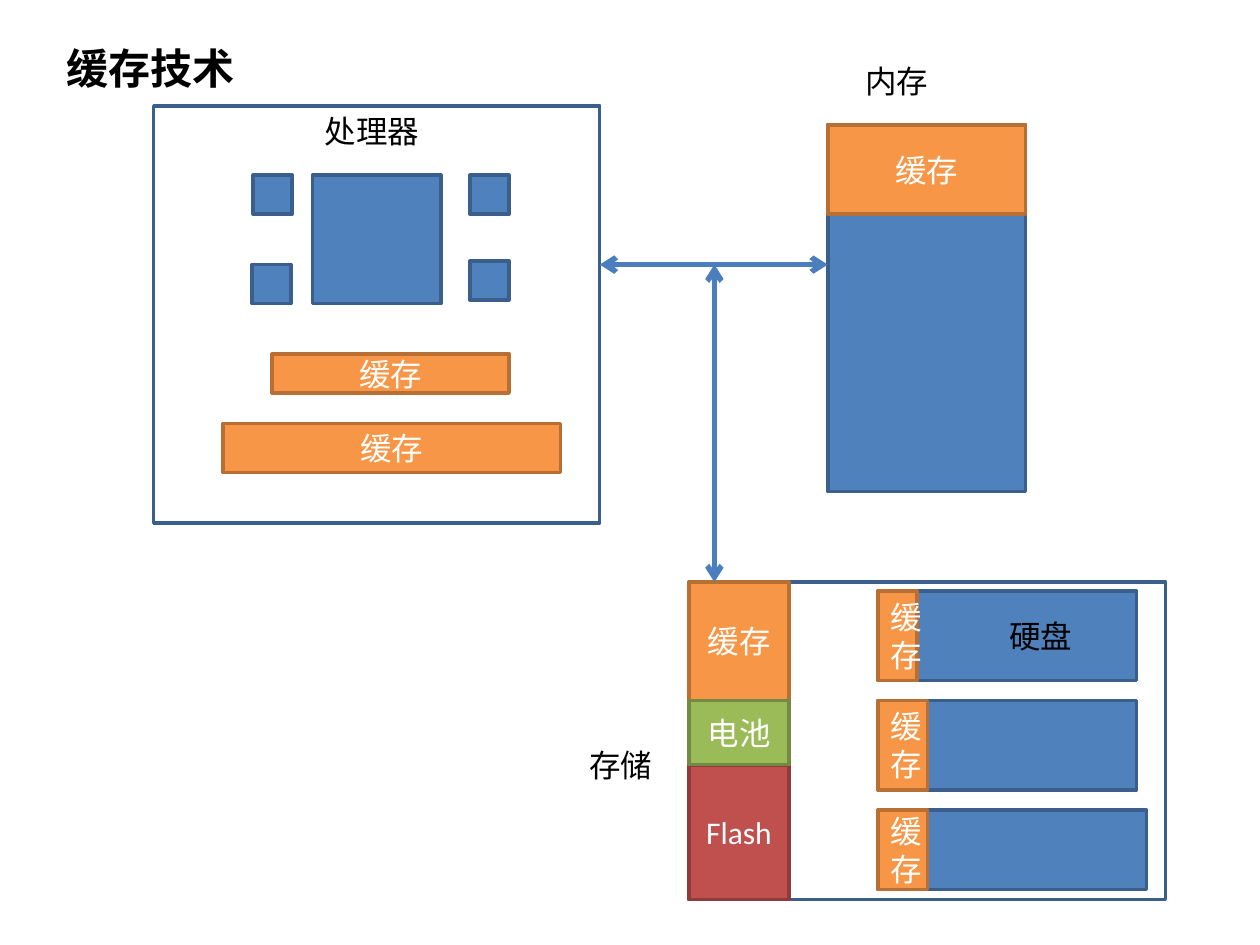
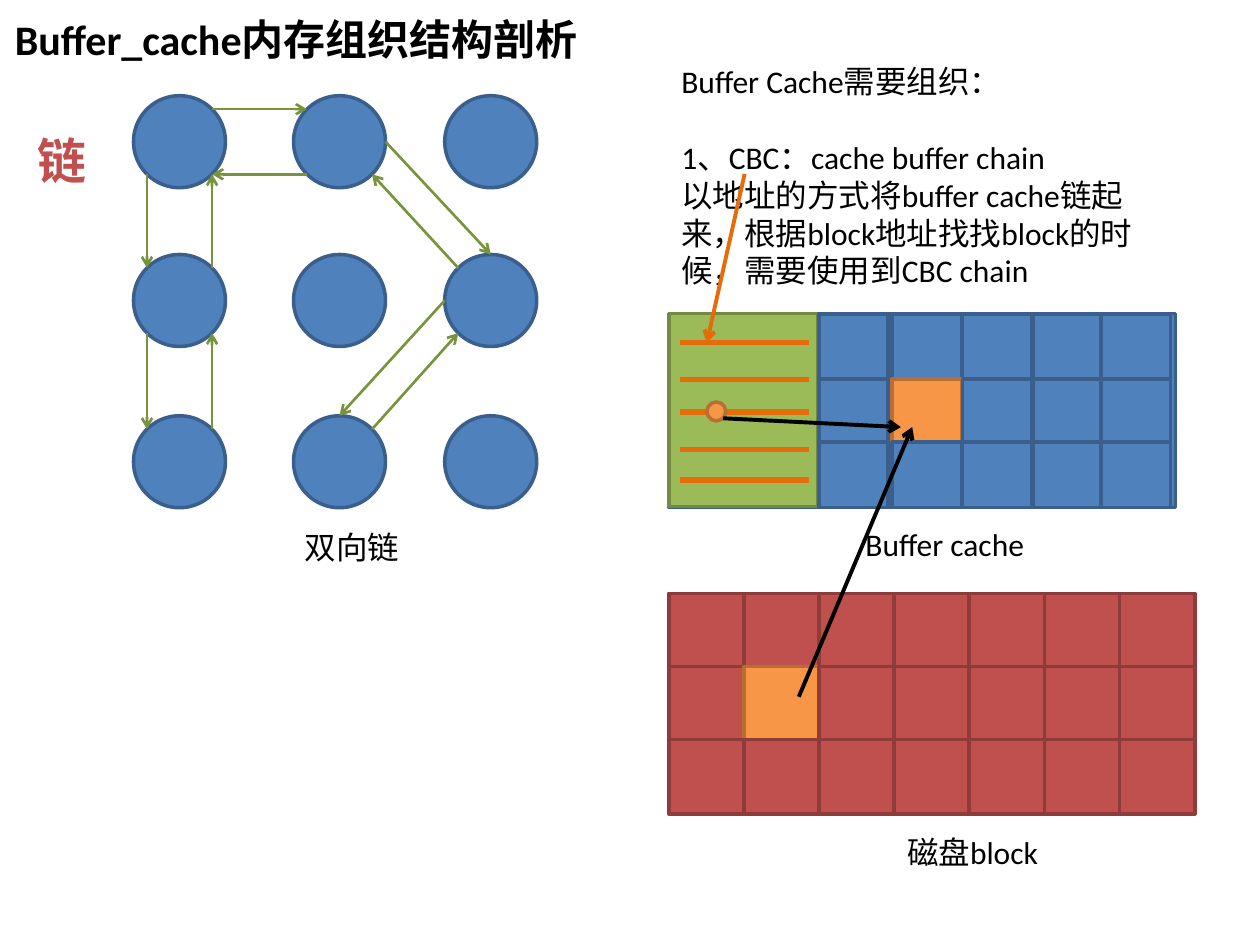
from math import sqrt
from lxml.etree import SubElement
from pptx import Presentation
from pptx.dml.color import RGBColor
from pptx.enum.shapes import MSO_CONNECTOR, MSO_SHAPE
from pptx.enum.text import MSO_ANCHOR, MSO_AUTO_SIZE, PP_ALIGN
from pptx.oxml.ns import qn
from pptx.util import Inches, Pt

FONT = "Calibri"
BLACK = RGBColor(0x00, 0x00, 0x00)
WHITE = RGBColor(0xFF, 0xFF, 0xFF)
BLUE = RGBColor(0x4F, 0x81, 0xBD)
ORANGE = RGBColor(0xF7, 0x96, 0x46)
GREEN = RGBColor(0x9B, 0xBB, 0x59)
RED = RGBColor(0xC0, 0x50, 0x4D)
BLUE_EDGE = RGBColor(0x3A, 0x5F, 0x8C)
BUS_BLUE = RGBColor(0x4B, 0x7E, 0xBC)
CHAIN_GREEN = RGBColor(0x77, 0x93, 0x3C)
DEEP_ORANGE = RGBColor(0xE4, 0x6C, 0x0A)
EDGES = {
    None: BLUE_EDGE,
    BLUE: BLUE_EDGE,
    ORANGE: RGBColor(0xB7, 0x6F, 0x34),
    GREEN: RGBColor(0x73, 0x8A, 0x42),
    RED: RGBColor(0x8E, 0x3B, 0x39),
}


class Painter:
    def __init__(self):
        self.deck = Presentation()
        self.deck.slide_width = Inches(10)
        self.deck.slide_height = Inches(7.5)
        self.page = None

    def add_page(self):
        self.page = self.deck.slides.add_slide(self.deck.slide_layouts[6])

    def add_run(self, para, text, size, color, bold=False):
        span = para.add_run()
        span.text = text
        span.font.name = FONT
        span.font.size = Pt(size)
        span.font.color.rgb = color
        span.font.bold = bold

    def shape(self, left, top, width, height, fill=BLUE, text="", kind=MSO_SHAPE.RECTANGLE):
        shape = self.page.shapes.add_shape(
            kind, Inches(left), Inches(top), Inches(width), Inches(height))
        shape.shadow.inherit = False
        if fill is None:
            shape.fill.background()
        else:
            shape.fill.solid()
            shape.fill.fore_color.rgb = fill
        shape.line.color.rgb = EDGES[fill]
        shape.line.width = Pt(2)
        if text:
            frame = shape.text_frame
            frame.word_wrap = True
            frame.vertical_anchor = MSO_ANCHOR.MIDDLE
            para = frame.paragraphs[0]
            para.alignment = PP_ALIGN.CENTER
            self.add_run(para, text, 18, WHITE)

    def circle(self, left, top, size, fill=BLUE):
        self.shape(left, top, size, size, fill, kind=MSO_SHAPE.OVAL)

    def label(self, left, top, width, height, *lines, size=18, color=BLACK, bold=False):
        box = self.page.shapes.add_textbox(
            Inches(left), Inches(top), Inches(width), Inches(height))
        frame = box.text_frame
        frame.word_wrap = True
        frame.auto_size = MSO_AUTO_SIZE.SHAPE_TO_FIT_TEXT
        for index, text in enumerate(lines):
            para = frame.add_paragraph() if index else frame.paragraphs[0]
            self.add_run(para, text, size, color, bold)
        return frame

    def title(self, left, top, width, text):
        self.label(left, top, width, 0.5, text, size=24, bold=True)

    def line(self, start, end, color, width, ends=()):
        points = [Inches(value) for value in (*start, *end)]
        connector = self.page.shapes.add_connector(MSO_CONNECTOR.STRAIGHT, *points)
        connector.line.color.rgb = color
        connector.line.width = Pt(width)
        properties = connector._element.spPr
        outline = properties.find(qn("a:ln"))
        for end_name in ends:
            SubElement(outline, qn(f"a:{end_name}")).set("type", "arrow")
        SubElement(properties, qn("a:effectLst"))

    def arrow(self, start, end, color, width=2.25):
        self.line(start, end, color, width, ("tailEnd",))

    def double_arrow(self, start, end):
        self.line(start, end, BUS_BLUE, 3, ("headEnd", "tailEnd"))


def draw_cache_overview(painter):
    painter.add_page()
    painter.shape(1.22, 0.84, 3.54, 3.31, None)
    painter.shape(2.48, 1.39, 1.02, 1.02)
    for left, top in ((2.01, 1.39), (2, 2.1), (3.73, 1.39), (3.73, 2.07)):
        painter.shape(left, top, 0.31, 0.31)
    painter.shape(2.16, 2.81, 1.88, 0.31, ORANGE, "缓存")
    painter.shape(1.77, 3.36, 2.68, 0.39, ORANGE, "缓存")

    painter.shape(6.57, 0.99, 1.57, 2.91)
    painter.shape(6.57, 0.99, 1.57, 0.71, ORANGE, "缓存")

    painter.shape(5.47, 4.62, 3.78, 2.52, None)
    disks = ((4.69, 2.05, 0.71, 0.31), (5.56, 2.05, 0.71, 0.39), (6.43, 2.13, 0.63, 0.39))
    for top, width, height, cache_width in disks:
        painter.shape(6.97, top, width, height)
        painter.shape(6.97, top, cache_width, height, ORANGE, "缓存")
    controller = ((4.62, 0.94, ORANGE, "缓存"), (6.07, 1.07, RED, "Flash"),
                  (5.56, 0.51, GREEN, "电池"))
    for top, height, fill, text in controller:
        painter.shape(5.47, top, 0.79, height, fill, text)

    painter.label(2.48, 0.84, 1.18, 0.4, "处理器")
    painter.label(6.77, 0.44, 1.18, 0.4, "内存")
    painter.label(4.58, 5.87, 0.89, 0.4, "存储")
    painter.label(7.91, 4.85, 1.18, 0.4, "硬盘")
    painter.double_arrow((4.76, 2.1), (6.57, 2.1))
    painter.double_arrow((5.67, 2.1), (5.67, 4.62))
    painter.title(0.43, 0.29, 3.23, "缓存技术")


def draw_chain(painter):
    size = 0.73
    lefts, tops = (1.06, 2.33, 3.53), (0.76, 2.02, 3.3)
    for left in lefts:
        for top in tops:
            painter.circle(left, top, size)

    diagonal = 1 / sqrt(2)
    sides = {"N": (0, -1), "S": (0, 1), "W": (-1, 0), "E": (1, 0)}
    for vertical in "NS":
        for horizontal in "WE":
            sides[vertical + horizontal] = (
                sides[horizontal][0] * diagonal, sides[vertical][1] * diagonal)

    def rim(column, row, side):
        across, down = sides[side]
        radius = size / 2
        return lefts[column] + radius * (1 + across), tops[row] + radius * (1 + down)

    links = (
        ((0, 0, "SW"), (0, 1, "NW")), ((0, 1, "NE"), (0, 0, "SE")),
        ((0, 1, "SW"), (0, 2, "NW")), ((0, 2, "NE"), (0, 1, "SE")),
        ((0, 0, "NE"), (1, 0, "NW")), ((1, 0, "SW"), (0, 0, "SE")),
        ((1, 0, "E"), (2, 1, "N")), ((2, 1, "NW"), (1, 0, "SE")),
        ((2, 1, "W"), (1, 2, "N")), ((1, 2, "NE"), (2, 1, "SW")),
    )
    for start, end in links:
        painter.arrow(rim(*start), rim(*end), CHAIN_GREEN, 1.5)
    painter.label(2.32, 4.14, 2.68, 0.4, "双向链")


def draw_cells(painter, lefts, tops, width, height, fill, marked):
    for row, top in enumerate(tops):
        for column, left in enumerate(lefts):
            cell_fill = ORANGE if (column, row) == marked else fill
            painter.shape(left, top, width, height, cell_fill)


def draw_buffer_cache(painter):
    painter.add_page()
    painter.title(0.02, 0.06, 5.67, "Buffer_cache内存组织结构剖析")
    painter.label(0.2, 0.99, 0.55, 0.57, "链", size=28, color=RED, bold=True)
    draw_chain(painter)

    notes = painter.label(
        5.31, 0.44, 3.86, 1.92,
        "Buffer Cache需要组织：",
        "1、CBC：cache buffer chain",
        "以地址的方式将buffer cache链起来，根据block地址找找block的时候，需要使用到CBC chain")
    notes.paragraphs[1].space_before = Pt(22)

    painter.shape(5.31, 2.49, 4.02, 1.54)
    painter.shape(5.31, 2.49, 1.18, 1.53, GREEN)
    draw_cells(painter, (6.5, 7.08, 7.64, 8.2, 8.74), (2.49, 3.01, 3.51),
               0.55, 0.52, BLUE, (2 - 1, 1))
    for height in (2.72, 3.01, 3.27, 3.57, 3.81):
        painter.line((5.4, height), (6.42, height), DEEP_ORANGE, 3)

    left, top, width = 5.31, 4.71, 4.17
    painter.shape(left, top, width, 1.64, RED)
    draw_cells(painter, [left + column * width / 7 for column in range(7)],
               [top + row * 0.58 for row in range(3)], 0.6, 0.59, RED, (1, 1))

    painter.arrow((5.91, 1.38), (5.61, 2.72), DEEP_ORANGE)
    painter.label(6.77, 4.12, 1.52, 0.4, "Buffer cache")
    painter.label(7.1, 6.56, 1.79, 0.4, "磁盘block")
    painter.arrow((6.34, 5.53), (7.24, 3.39), BLACK)
    painter.circle(5.61, 3.19, 0.15, ORANGE)
    painter.arrow((5.74, 3.32), (7.15, 3.39), BLACK)


def main():
    painter = Painter()
    draw_cache_overview(painter)
    draw_buffer_cache(painter)
    painter.deck.save("out.pptx")


if __name__ == "__main__":
    main()
